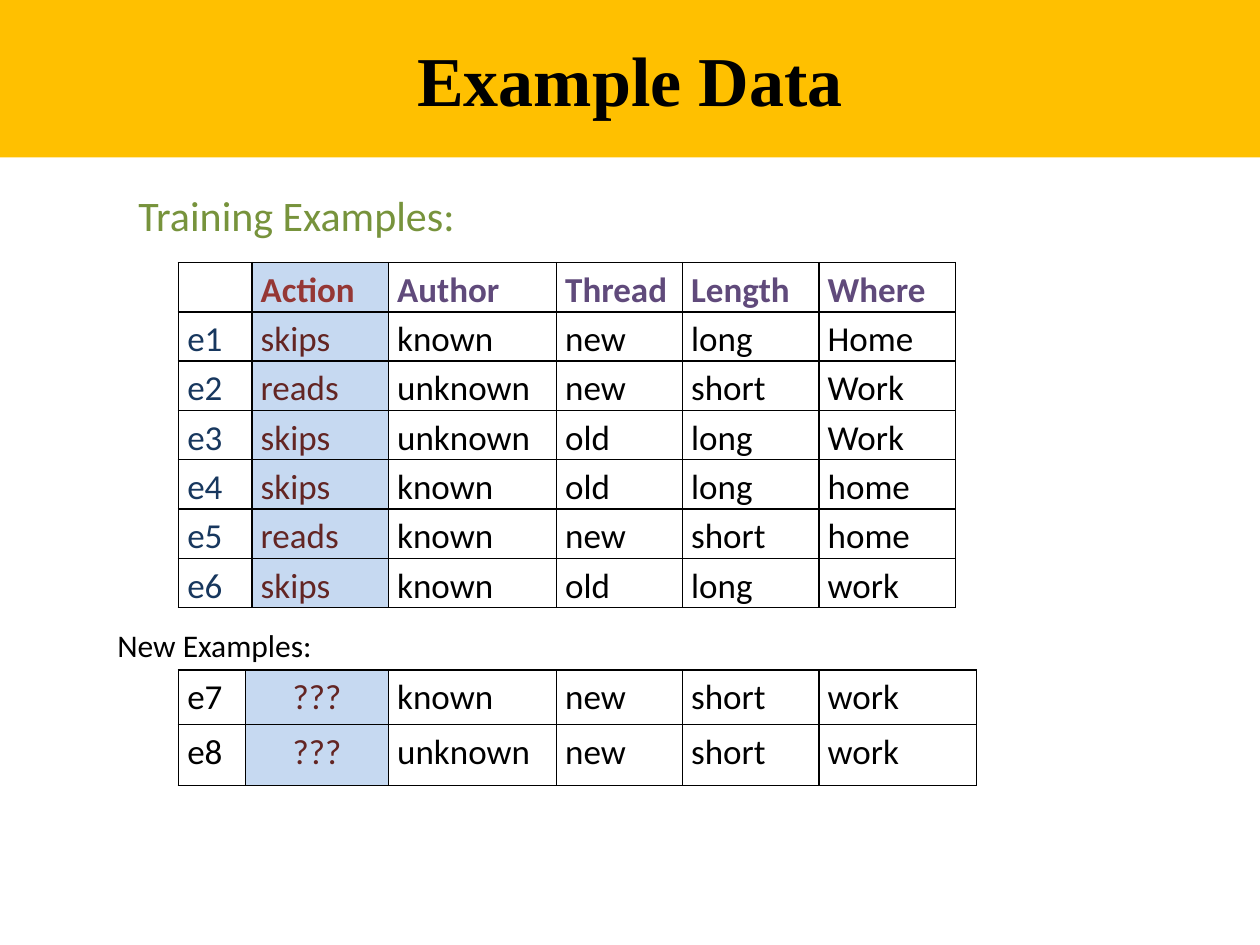
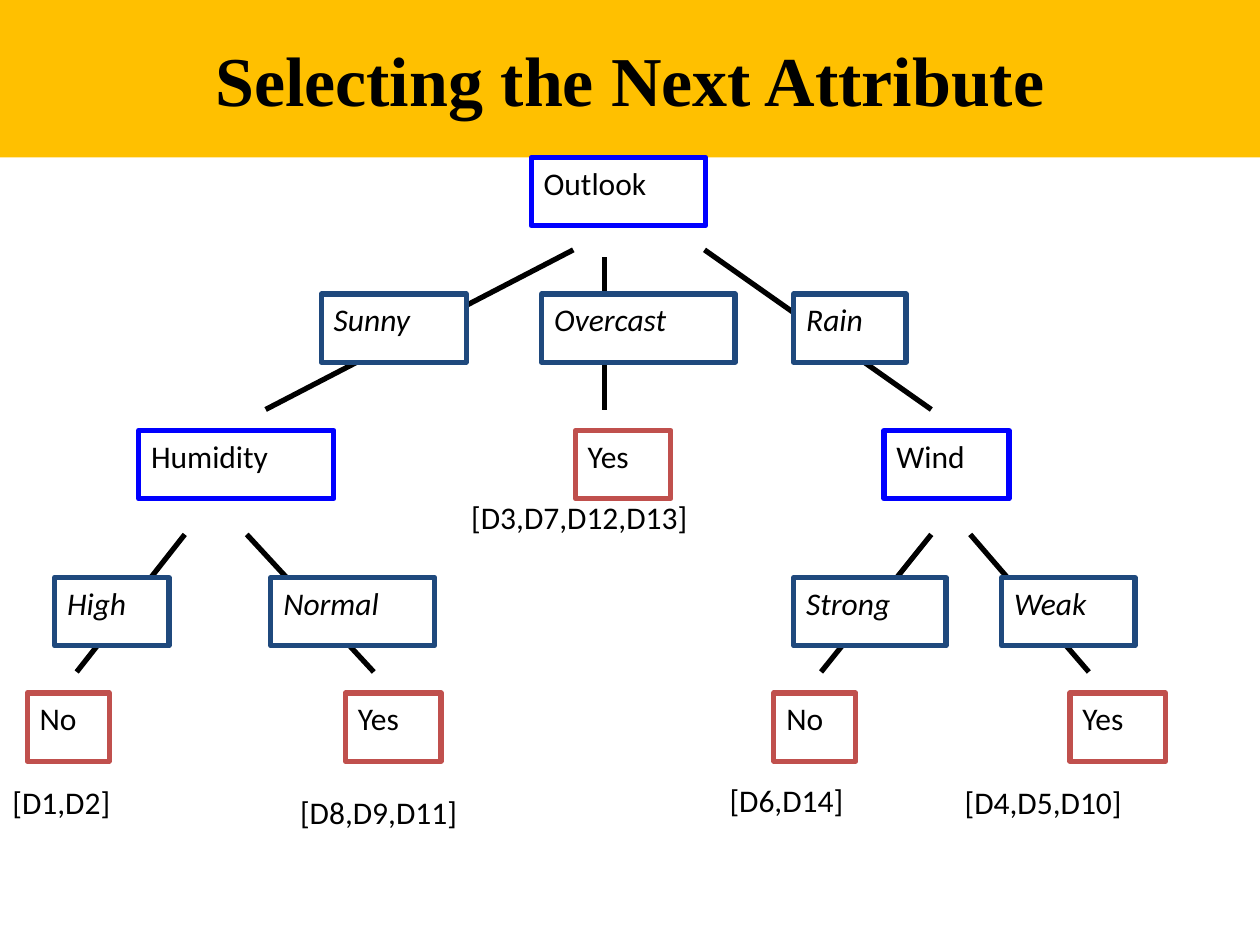
import pptx
import pptx.util
import pptx.dml.color
import pptx.enum.shapes
import pptx.enum.text
import pptx.oxml.ns
from lxml import etree

COLORS = {
    "band": "FFC000", "ink": "000000", "paper": "FFFFFF",
    "heading": "77933C", "target": "C6D9F1", "target_head": "953735",
    "target_text": "632523", "feature": "604A7B", "example": "17375E",
    "attribute": "0000FF", "value": "1F497D", "leaf": "C0504D",
}
TITLE_FONT, BODY_FONT = "Times New Roman", "Calibri"
COLS, ROWS = 120, 90          # grid on every slide
NODE_H, CAPTION_H = 6.5, 6    # grid rows
RECT = pptx.enum.shapes.MSO_SHAPE.RECTANGLE
ALIGN = pptx.enum.text.PP_ALIGN
ANCHOR = pptx.enum.text.MSO_ANCHOR


def rgb(name):
    return pptx.dml.color.RGBColor.from_string(COLORS[name])


class Deck:
    def __init__(self):
        self.prs = pptx.Presentation()
        self.prs.slide_width = pptx.util.Inches(10)
        self.prs.slide_height = pptx.util.Inches(7.5)
        self.s = None

    def x(self, cols):
        return round(self.prs.slide_width * cols / COLS)

    def y(self, rows):
        return round(self.prs.slide_height * rows / ROWS)

    def box(self, left, top, width, height):
        return self.x(left), self.y(top), self.x(width), self.y(height)

    def set_text(self, tf, text, size=18, color="ink", font=BODY_FONT,
                 bold=False, italic=False, align=ALIGN.LEFT):
        tf.text = text
        p = tf.paragraphs[0]
        p.alignment = align
        for r in p.runs:
            r.font.name, r.font.size = font, pptx.util.Pt(size)
            r.font.bold, r.font.italic = bold, italic
            r.font.color.rgb = rgb(color)
        return p

    def rect(self, at, fill, line=None):
        sp = self.s.shapes.add_shape(RECT, *self.box(*at))
        sp.shadow.inherit = False
        sp.fill.solid()
        sp.fill.fore_color.rgb = rgb(fill)
        if line:
            sp.line.color.rgb = rgb(line)
            sp.line.width = pptx.util.Pt(3)
        else:
            sp.line.fill.background()
        return sp

    def slide(self, title):
        self.s = self.prs.slides.add_slide(self.prs.slide_layouts[6])
        tf = self.rect((0, 0, COLS, 15), "band").text_frame
        tf.vertical_anchor = ANCHOR.MIDDLE
        self.set_text(tf, title, 40, font=TITLE_FONT, bold=True, align=ALIGN.CENTER)

    def label(self, at, text, wrap=True, **style):
        tf = self.s.shapes.add_textbox(*self.box(*at)).text_frame
        tf.word_wrap = wrap
        self.set_text(tf, text, **style)

    def node(self, left, top, width, text, kind):
        tf = self.rect((left, top, width, NODE_H), "paper", kind).text_frame
        tf.word_wrap = True
        tf.vertical_anchor = ANCHOR.TOP
        self.set_text(tf, text, italic=kind == "value")

    def branch(self, x1, y1, x2, y2):
        line = self.s.shapes.add_connector(
            pptx.enum.shapes.MSO_CONNECTOR.STRAIGHT,
            self.x(x1), self.y(y1), self.x(x2), self.y(y2))
        line.line.color.rgb = rgb("ink")
        line.line.width = pptx.util.Pt(3)
        etree.SubElement(line._element.spPr, pptx.oxml.ns.qn("a:effectLst"))

    def borders(self, cell):
        tc_pr = cell._tc.get_or_add_tcPr()
        for i, side in enumerate(("lnL", "lnR", "lnT", "lnB")):
            ln = etree.Element(pptx.oxml.ns.qn("a:" + side), w="12700")
            fill = etree.SubElement(ln, pptx.oxml.ns.qn("a:solidFill"))
            etree.SubElement(fill, pptx.oxml.ns.qn("a:srgbClr"), val=COLORS["ink"])
            tc_pr.insert(i, ln)

    def table(self, left, top, widths, heights, rows, style):
        """style(row, column) gives the text settings of a cell."""
        at = self.box(left, top, sum(widths), sum(heights))
        tbl = self.s.shapes.add_table(len(rows), len(widths), *at).table
        tbl.first_row = tbl.horz_banding = False
        for col, width in zip(tbl.columns, widths):
            col.width = self.x(width)
        for row, height in zip(tbl.rows, heights):
            row.height = self.y(height)
        for i, row in enumerate(rows):
            for j, text in enumerate(row):
                cell = tbl.cell(i, j)
                cell.margin_left = cell.margin_right = pptx.util.Inches(0.07)
                cell.margin_top = cell.margin_bottom = 0
                if j == 1:
                    cell.fill.solid()
                    cell.fill.fore_color.rgb = rgb("target")
                else:
                    cell.fill.background()
                self.borders(cell)
                p = self.set_text(cell.text_frame, text, 20, **style(i, j))
                p.line_spacing = 1.15


def training_style(i, j):
    if i == 0:
        return {"bold": True, "color": "target_head" if j == 1 else "feature"}
    return {"color": {0: "example", 1: "target_text"}.get(j, "ink")}


def new_style(i, j):
    return {"color": "target_text", "align": ALIGN.CENTER} if j == 1 else {}


def example_data(deck):
    deck.slide("Example Data")

    # Training examples
    training = [
        ["", "Action", "Author", "Thread", "Length", "Where"],
        ["e1", "skips", "known", "new", "long", "Home"],
        ["e2", "reads", "unknown", "new", "short", "Work"],
        ["e3", "skips", "unknown", "old", "long", "Work"],
        ["e4", "skips", "known", "old", "long", "home"],
        ["e5", "reads", "known", "new", "short", "home"],
        ["e6", "skips", "known", "old", "long", "work"],
    ]
    deck.table(17, 25, [7, 13, 16, 12, 13, 13], [4.7] * len(training),
               training, training_style)

    # New examples
    new = [
        ["e7", "???", "known", "new", "short", "work"],
        ["e8", "???", "unknown", "new", "short", "work"],
    ]
    deck.table(17, 63.8, [6.4, 13.6, 16, 12, 13, 15], [5.2, 5.8], new, new_style)

    # Table headings
    deck.label((10, 59, 21.1, 4.8), "New Examples:", wrap=False)
    deck.label((12, 17.5, 32.9, 6), "Training Examples:", wrap=False,
               size=24, color="heading")


def next_attribute(deck):
    deck.slide("Selecting the Next Attribute")

    # Branches: (x1, x2) between two tree levels
    for x1, x2 in [(54.6, 25.3), (67.1, 88.7)]:
        deck.branch(x1, 23.8, x2, 39)
    deck.branch(57.6, 24.5, 57.6, 39)
    for x1, x2 in [(17.6, 7.3), (23.5, 35.6), (92.4, 103.7), (88.7, 78.2)]:
        deck.branch(x1, 50.9, x2, 64)

    # Nodes by level: left, width, text, kind
    levels = {
        15: [(50.6, 16.6, "Outlook", "attribute")],
        28: [(30.6, 13.8, "Sunny", "value"),
             (51.6, 18.4, "Overcast", "value"),
             (75.6, 10.7, "Rain", "value")],
        41: [(13.2, 18.6, "Humidity", "attribute"),
             (54.8, 9.1, "Yes", "leaf"),
             (84.2, 11.9, "Wind", "attribute")],
        55: [(5.2, 10.9, "High", "value"),
             (25.8, 15.6, "Normal", "value"),
             (75.6, 14.5, "Strong", "value"),
             (95.4, 12.7, "Weak", "value")],
        66: [(2.6, 7.8, "No", "leaf"),
             (32.9, 9.1, "Yes", "leaf"),
             (73.7, 7.8, "No", "leaf"),
             (101.9, 9.1, "Yes", "leaf")],
    }
    for top, nodes in levels.items():
        for left, width, text, kind in nodes:
            deck.node(left, top, width, text, kind)

    # Examples that reach each leaf
    for left, top, width, text in [
        (43.7, 46.8, 35, "[D3,D7,D12,D13]"),
        (27.4, 74.9, 29.3, "[D8,D9,D11]"),
        (68.3, 73.8, 29.3, "[D6,D14]"),
        (0, 74, 18.4, "[D1,D2]"),
        (90.7, 74, 29.3, "[D4,D5,D10]"),
    ]:
        deck.label((left, top, width, CAPTION_H), text)


def main():
    deck = Deck()
    example_data(deck)
    next_attribute(deck)
    deck.prs.save("out.pptx")


if __name__ == "__main__":
    main()
